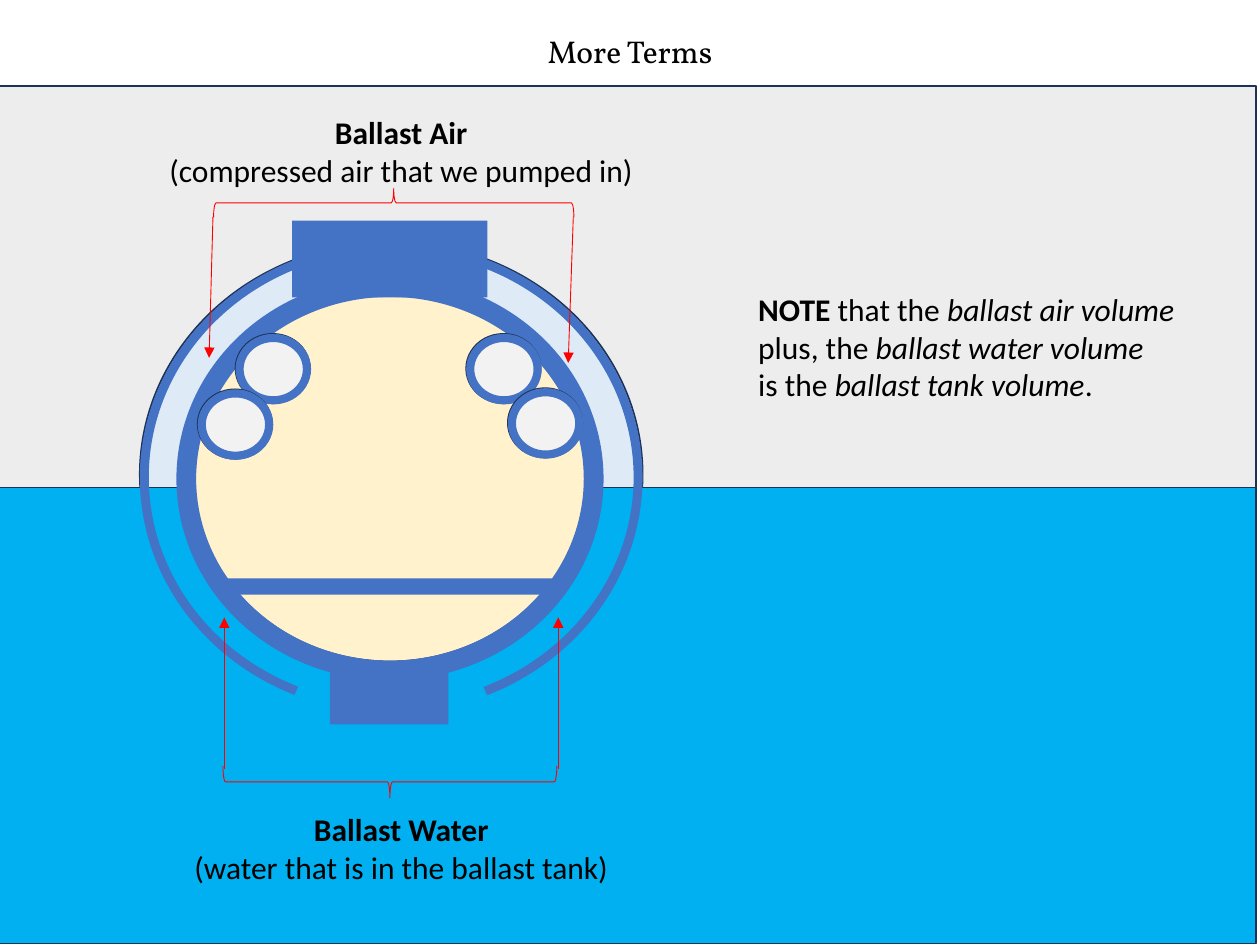
from lxml import etree
from pptx import Presentation
from pptx import util as u
from pptx.dml.color import RGBColor
from pptx.enum import shapes, text
from pptx.oxml.ns import qn

KIND = shapes.MSO_SHAPE
CENTER = text.PP_ALIGN.CENTER
NAVY, BLUE, RED = "1E3256", "4472C4", "FF0000"


def color(hex_string):
    return RGBColor.from_string(hex_string)


def apply(target, values):
    for name, value in values.items():
        setattr(target, name, value)


class Diagram:
    """Holds the text style and the current slide; lengths are in points."""

    def __init__(self, slide, font="Calibri", size=18):
        self.slide = slide
        self.style = {"name": font, "size": u.Pt(size)}

    def place(self, shape, box):
        apply(shape, dict(zip(("left", "top", "width", "height"), map(u.Pt, box))))

    def outline(self, line, hex_string, width):
        line.color.rgb = color(hex_string)
        line.width = u.Pt(width)

    def shape(self, kind, box, fill=None, line=None, width=1, rotation=0, adjust=()):
        shape = self.slide.shapes.add_shape(kind, *map(u.Pt, box))
        shape.shadow.inherit = False
        shape.rotation = rotation
        for index, value in enumerate(adjust):
            shape.adjustments[index] = value
        if fill:
            shape.fill.solid()
            shape.fill.fore_color.rgb = color(fill)
        else:
            shape.fill.background()
        if line:
            self.outline(shape.line, line, width)
        else:
            shape.line.fill.background()

    def arrow(self, start, end):
        connector = self.slide.shapes.add_connector(
            shapes.MSO_CONNECTOR.STRAIGHT, *map(u.Pt, start + end))
        self.outline(connector.line, RED, 0.5)
        properties = connector._element.spPr
        line = properties.find(qn("a:ln"))
        etree.SubElement(line, qn("a:tailEnd"), type="triangle")
        etree.SubElement(properties, qn("a:effectLst"))

    def add_lines(self, frame, lines, align=None, **style):
        """Each line is a list of (wording, format) pairs."""
        for index, runs in enumerate(lines):
            paragraph = frame.paragraphs[0] if index == 0 else frame.add_paragraph()
            paragraph.alignment = align
            for wording, values in runs:
                run = paragraph.add_run()
                run.text = wording
                apply(run.font, {**self.style, **style, **values})
                run.font.color.rgb = color("000000")

    def text(self, box, lines, align=None, wrap=True):
        frame = self.slide.shapes.add_textbox(*map(u.Pt, box)).text_frame
        apply(frame, {"word_wrap": wrap,
                      "auto_size": text.MSO_AUTO_SIZE.SHAPE_TO_FIT_TEXT})
        self.add_lines(frame, lines, align)

    def title(self, box, wording, font):
        title = self.slide.shapes.title
        self.place(title, box)
        apply(title.text_frame, {"word_wrap": True,
                                 "auto_size": text.MSO_AUTO_SIZE.SHAPE_TO_FIT_TEXT,
                                 "vertical_anchor": text.MSO_ANCHOR.TOP})
        self.add_lines(title.text_frame, [[(wording, {})]], CENTER, name=font)


def main():
    presentation = Presentation()
    apply(presentation, {"slide_width": u.Pt(720), "slide_height": u.Pt(540)})
    slide = presentation.slides.add_slide(presentation.slide_layouts[5])
    diagram = Diagram(slide)
    bold, italic = {"bold": True}, {"italic": True}

    diagram.title((0, 14.4, 720, 28.8), "More Terms", "Vollkorn")

    # Sky, ballast tank air, sea and hull interior
    diagram.shape(KIND.RECTANGLE, (-0.7, 49, 718.6, 230.4), "EDEDED", NAVY)
    diagram.shape(KIND.OVAL, (79.9, 138.2, 287.3, 265.7), "DEEBF7", NAVY)
    diagram.shape(KIND.RECTANGLE, (-0.7, 278.6, 718.6, 260.6), "00B0F0", NAVY)
    diagram.shape(KIND.OVAL, (110.9, 168.5, 223.9, 209.5), "FFF2CC", NAVY)

    # Sail, pressure hull, outer tank wall, deck and keel
    diagram.shape(KIND.RECTANGLE, (167, 126, 111.6, 43.9), BLUE)
    diagram.shape(KIND.DONUT, (100.8, 158.4, 244.1, 230.4), BLUE, adjust=[0.049])
    diagram.shape(KIND.BLOCK_ARC, (79.9, 138.2, 287.3, 269.3), BLUE,
                  adjust=[68.384, 39.746, 0.019])
    diagram.shape(KIND.RECTANGLE, (128.2, 330.5, 190.8, 9.4), BLUE)
    diagram.shape(KIND.RECTANGLE, (188.6, 380.2, 67.7, 33.8), BLUE)

    # Air bottles
    for left, top in ((266.4, 190.8), (290.2, 221.8), (134.6, 190.8), (113, 222.5)):
        diagram.shape(KIND.OVAL, (left, top, 42.5, 39.6), "F2F2F2", NAVY)
        diagram.shape(KIND.DONUT, (left, top, 43.2, 40.3), BLUE, adjust=[0.116])

    # Braces and arrows into the tanks
    diagram.shape(KIND.RIGHT_BRACE, (216.7, 13, 16.6, 205.9), None, RED, 0.5, 270)
    diagram.shape(KIND.RIGHT_BRACE, (213.8, 351.4, 18, 190.8), None, RED, 0.5, 90)
    diagram.arrow((327.6, 123.8), (324.7, 207.4))
    diagram.arrow((121.7, 123.8), (119.5, 204.5))
    for x in (128.2, 319):
        diagram.arrow((x, 439.2), (x, 352.8))

    # Labels
    diagram.text((87.8, 61.2, 283, 51.1),
                 [[("Ballast Air", bold)],
                  [("(compressed air that we pumped in)", {})]], CENTER, wrap=False)
    diagram.text((56.9, 459.4, 344.9, 51.1),
                 [[("Ballast Water", bold)],
                  [("(water that is in the ballast tank)", {})]], CENTER)
    diagram.text((426.2, 162, 253.4, 72.7),
                 [[("NOTE", bold), (" that the ", {}), ("ballast air volume", italic)],
                  [("plus, the ", {}), ("ballast water volume", italic)],
                  [("is the ", {}), ("ballast tank volume", italic), (".", {})]],
                 wrap=False)

    presentation.save("out.pptx")


if __name__ == "__main__":
    main()
